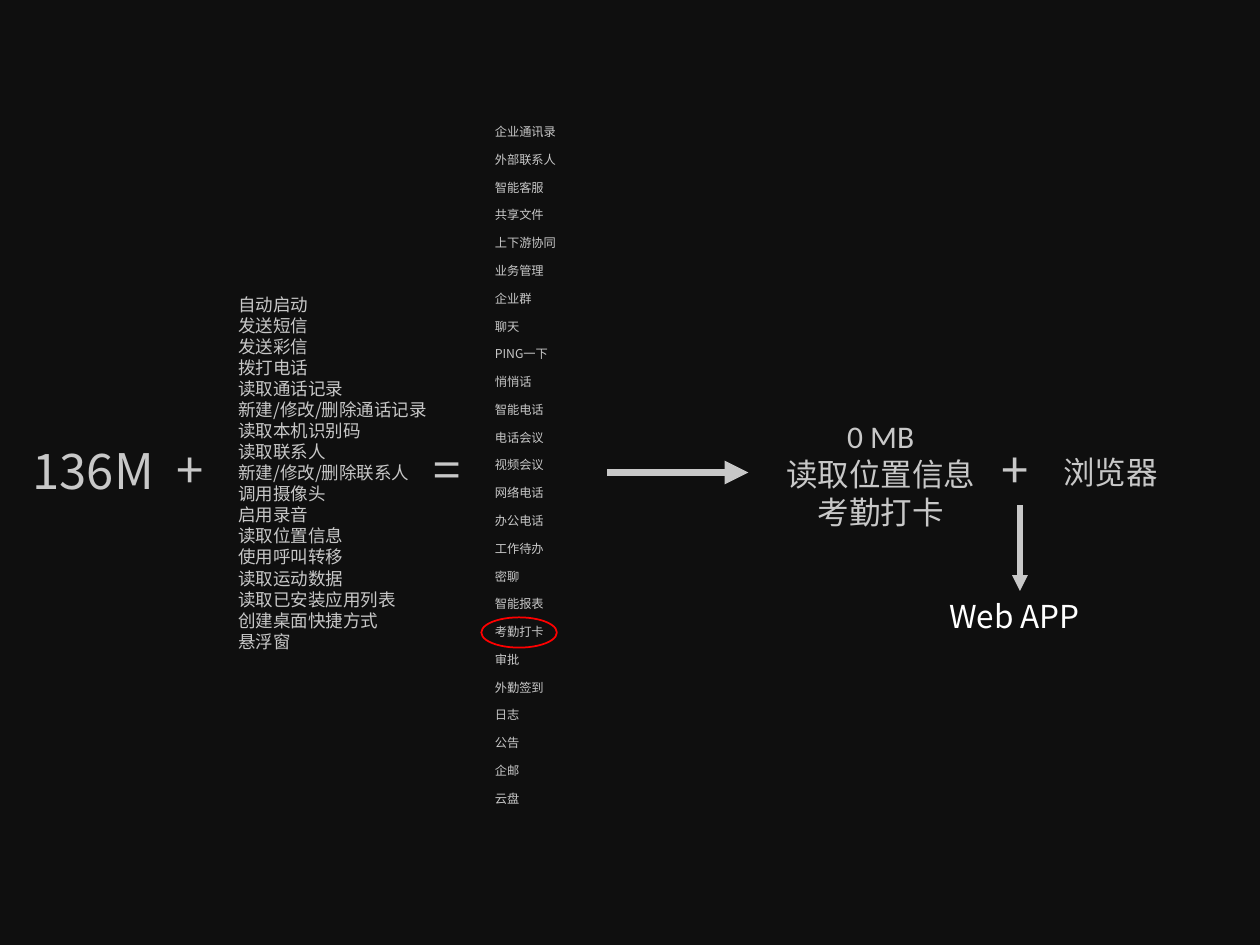
import pptx
import pptx.dml.color
import pptx.enum.shapes
import pptx.enum.text
import pptx.oxml.ns
import pptx.util
from lxml import etree

BACKGROUND = pptx.dml.color.RGBColor(0x0F, 0x0F, 0x0F)
GREY = pptx.dml.color.RGBColor(0xC8, 0xC8, 0xC8)
WHITE = pptx.dml.color.RGBColor(0xFF, 0xFF, 0xFF)
RED = pptx.dml.color.RGBColor(0xFF, 0x00, 0x00)
CJK = "Noto Sans CJK SC"
LATIN = "Calibri"
CENTER = pptx.enum.text.PP_ALIGN.CENTER
qn = pptx.oxml.ns.qn

deck = pptx.Presentation()
deck.slide_width = pptx.util.Inches(10)
deck.slide_height = pptx.util.Inches(7.5)
COLUMN = deck.slide_width // 100
ROW = deck.slide_height // 75

page = deck.slides.add_slide(deck.slide_layouts[6])
page.background.fill.solid()
page.background.fill.fore_color.rgb = BACKGROUND


def add_text(place, lines, size, font=CJK, color=GREY, wrap=False, **paragraph_format):
    """Place is left, top, width, height in columns and rows."""
    left, top, width, height = place
    box = page.shapes.add_textbox(
        int(left * COLUMN), int(top * ROW), int(width * COLUMN), int(height * ROW))
    frame = box.text_frame
    frame.word_wrap = wrap
    for index, line in enumerate(lines):
        para = frame.add_paragraph() if index else frame.paragraphs[0]
        for name, value in paragraph_format.items():
            setattr(para, name, value)
        span = para.add_run()
        span.text = line
        for name, value in {"size": pptx.util.Pt(size), "name": font}.items():
            setattr(span.font, name, value)
        span.font.color.rgb = color
        east_asian = etree.SubElement(span.font._element, qn("a:ea"))
        east_asian.set("typeface", CJK)
    return box


def add_arrow(start, end, weight):
    """Start and end are column, row pairs."""
    arrow = page.shapes.add_connector(
        pptx.enum.shapes.MSO_CONNECTOR.STRAIGHT,
        int(start[0] * COLUMN), int(start[1] * ROW),
        int(end[0] * COLUMN), int(end[1] * ROW))
    arrow.line.color.rgb = GREY
    arrow.line.width = pptx.util.Pt(weight)
    etree.SubElement(arrow.line._get_or_add_ln(), qn("a:tailEnd")).set("type", "triangle")
    etree.SubElement(arrow._element.spPr, qn("a:effectLst"))
    return arrow


features = [
    "企业通讯录", "外部联系人", "智能客服", "共享文件", "上下游协同",
    "业务管理", "企业群", "聊天", "PING一下", "悄悄话",
    "智能电话", "电话会议", "视频会议", "网络电话", "办公电话",
    "工作待办", "密聊", "智能报表", "考勤打卡", "审批",
    "外勤签到", "日志", "公告", "企邮", "云盘",
]
permissions = [
    "自动启动", "发送短信", "发送彩信", "拨打电话", "读取通话记录",
    "新建/修改/删除通话记录", "读取本机识别码", "读取联系人",
    "新建/修改/删除联系人", "调用摄像头", "启用录音", "读取位置信息",
    "使用呼叫转移", "读取运动数据", "读取已安装应用列表",
    "创建桌面快捷方式", "悬浮窗",
]

# The native app: size + permissions = features
add_text((38.3, 9.7, 11.5, 55.6), features, 7, wrap=True,
         line_spacing=0.7, space_before=pptx.util.Pt(10))
add_text((1.6, 35, 13.2, 5.7), ["136M"], 28, line_spacing=0.9)
add_text((17.95, 22.85, 17.2, 29.6), permissions, 10, wrap=True)

# The web app: one permission and one feature + browser
add_text((61.3, 32.6, 17.2, 10.1), ["0 MB", "读取位置信息", "考勤打卡"], 18,
         font=LATIN, wrap=True, alignment=CENTER)
add_text((83.4, 35.5, 9.6, 4), ["浏览器"], 18, font=LATIN)
web_app = add_text((74.35, 46.9, 13.2, 4), ["Web APP"], 18, color=WHITE)

for left, sign in ((13, "+"), (33.4, "="), (78.5, "+")):
    operator = add_text((left, 34.4, 4.9, 5.7), [sign], 28)

# The one feature that is really needed
highlight = page.shapes.add_shape(
    pptx.enum.shapes.MSO_SHAPE.OVAL,
    int(38.2 * COLUMN), int(49 * ROW), 6 * COLUMN, int(2.4 * ROW))
highlight.shadow.inherit = False
highlight.fill.background()
highlight.line.color.rgb = RED
highlight.line.width = pptx.util.Pt(1)

add_arrow((48.2, 37.5), (59.4, 37.5), 4.5)
down_arrow = add_arrow((80.95, 40.1), (80.95, 46.9), 3)
down_arrow.begin_connect(operator, 2)
down_arrow.end_connect(web_app, 0)

deck.save("out.pptx")
